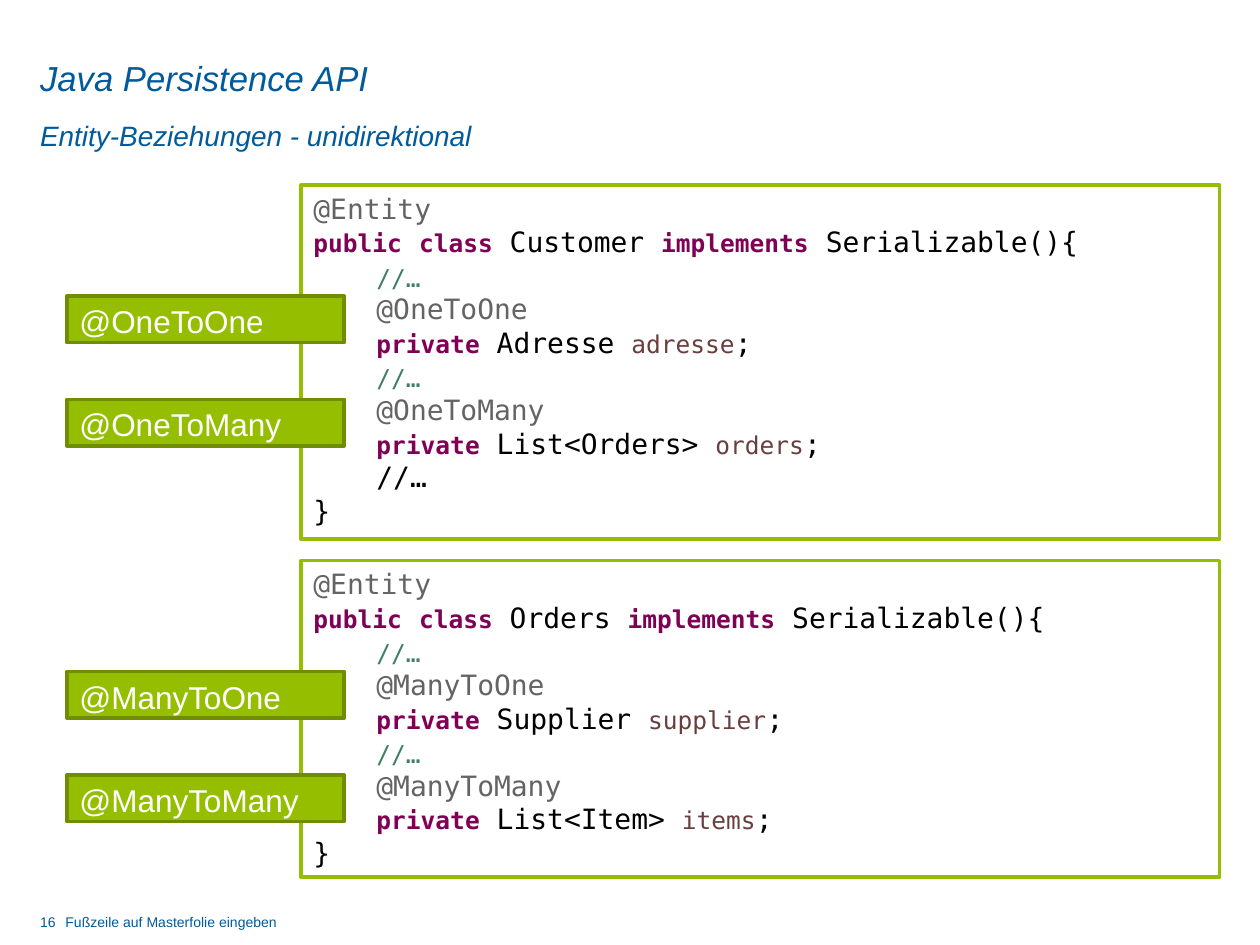
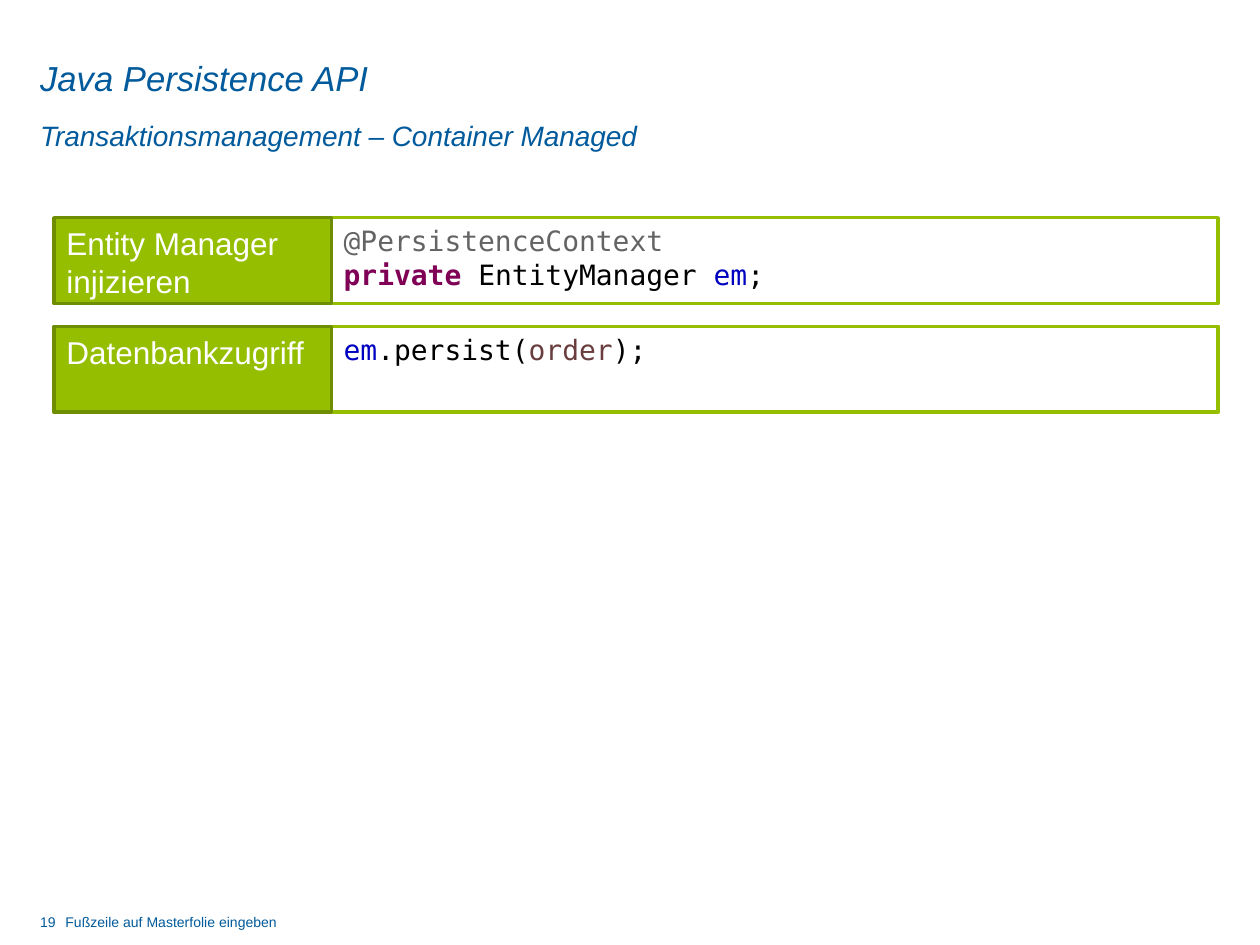
from collections import namedtuple
from dataclasses import dataclass

from pptx import Presentation
from pptx.dml.color import RGBColor as Rgb
from pptx.enum.shapes import MSO_SHAPE as Preset
from pptx.enum.text import MSO_ANCHOR as Anchor, PP_ALIGN as Align
from pptx.util import Cm, Pt

Box = namedtuple("Box", "left top width height")


def font_style(color, size, name="Arial", **extra):
    return {"name": name, "size": size, "color": color, "bold": False, "italic": False, **extra}


def code_style(color, size=16, **extra):
    return font_style(color, size, "DejaVu Sans Mono", **extra)


@dataclass(frozen=True)
class Theme:
    """Colours, type sizes and spacing shared by all slides."""
    white: str = "FFFFFF"
    blue: str = "005A9B"
    green: str = "96BE00"
    dark_green: str = "6F8D00"
    line_width: float = 2
    code_pitch: float = 19.2
    code_indent: float = 1.27

    @property
    def styles(self):
        return {
            "title": font_style(self.blue, 19.8, italic=True),
            "subtitle": font_style(self.blue, 16, italic=True),
            "footer": font_style(self.blue, 8),
            "label": font_style(self.white, 18),
            "plain": code_style("000000"),
            "annotation": code_style("646464"),
            "keyword": code_style("7F0055", 14, bold=True),
            "big_keyword": code_style("7F0055", bold=True),
            "comment": code_style("3F7F5F", 14),
            "variable": code_style("6A3E3E", 14),
            "big_variable": code_style("6A3E3E"),
            "field": code_style("0000C0"),
        }


THEME = Theme()
LABEL_WIDTH = 5.59


def set_values(target, values):
    for name, value in values.items():
        setattr(target, name, value)


def add_span(para, style, text):
    span = para.add_run()
    span.text = text
    values = dict(THEME.styles[style])
    span.font.color.rgb = Rgb.from_string(values.pop("color"))
    values["size"] = Pt(values["size"])
    set_values(span.font, values)


def add_text(page, box, style, text, anchor=Anchor.TOP, spacing=1.0):
    frame = page.shapes.add_textbox(*map(Cm, box)).text_frame
    set_values(frame, {"word_wrap": True, "vertical_anchor": anchor, "margin_left": 0,
                       "margin_top": 0, "margin_right": 0, "margin_bottom": 0})
    para = frame.paragraphs[0]
    para.line_spacing = spacing
    add_span(para, style, text)


def add_panel(page, box, fill, line):
    """Bordered rectangle with text from its top left corner."""
    panel = page.shapes.add_shape(Preset.RECTANGLE, *map(Cm, box))
    panel.shadow.inherit = False
    panel.fill.solid()
    panel.fill.fore_color.rgb = Rgb.from_string(fill)
    panel.line.color.rgb = Rgb.from_string(line)
    panel.line.width = Pt(THEME.line_width)
    set_values(panel.text_frame, {"word_wrap": True, "vertical_anchor": Anchor.TOP})
    return panel.text_frame


def add_label(page, box, text):
    para = add_panel(page, box, THEME.green, THEME.dark_green).paragraphs[0]
    para.alignment = Align.LEFT
    add_span(para, "label", text)


def add_code(page, box, lines):
    """Code panel; each line is (indent level, spans)."""
    frame = add_panel(page, box, THEME.white, THEME.green)
    for number, (level, spans) in enumerate(lines):
        para = frame.add_paragraph() if number else frame.paragraphs[0]
        set_values(para, {"alignment": Align.LEFT, "line_spacing": Pt(THEME.code_pitch)})
        if level:
            properties = para._p.get_or_add_pPr()
            properties.set("marL", str(Cm(level * THEME.code_indent)))
            properties.set("indent", "0")
        for style, text in spans:
            add_span(para, style, text)


def add_page(deck, subtitle, number):
    """Blank page with title, subtitle and footer."""
    page = deck.slides.add_slide(deck.slide_layouts[6])
    add_text(page, Box(1.32, 18.42, 9.25, 0.69), "footer", "Fußzeile auf Masterfolie eingeben")
    add_text(page, Box(0.81, 1.12, 20.32, 0.91), "title", "Java Persistence API", Anchor.MIDDLE)
    add_text(page, Box(0.81, 2.06, 20.32, 0.94), "subtitle", subtitle, spacing=1.5)
    add_text(page, Box(0.81, 18.42, 0.53, 0.58), "footer", str(number))
    return page


def entity_lines(name, relations, tail=()):
    """Source of an entity class with its annotated relations."""
    lines = [
        (0, [("annotation", "@Entity")]),
        (0, [("keyword", "public"), ("plain", " "), ("keyword", "class"),
             ("plain", f" {name} "), ("keyword", "implements"),
             ("plain", " Serializable(){")]),
    ]
    for annotation, kind, variable in relations:
        lines += [
            (1, [("comment", "//…")]),
            (1, [("annotation", annotation)]),
            (1, [("keyword", "private"), ("plain", f" {kind} "),
                 ("variable", variable), ("plain", ";")]),
        ]
    return [*lines, *tail, (0, [("plain", "}")])]


def add_entity(page, box, name, relations, tail=()):
    """Entity code with one label beside each relation."""
    add_code(page, box, entity_lines(name, relations, tail))
    for index, (annotation, *_) in enumerate(relations):
        label_box = Box(box.left - 4.72, box.top + 2.24 + index * 2.08, LABEL_WIDTH, 0.94)
        add_label(page, label_box, annotation)


def add_step(page, box, label, lines):
    """Row with a label on the left and code on the right."""
    add_code(page, box._replace(left=box.left + LABEL_WIDTH, width=box.width - LABEL_WIDTH), lines)
    add_label(page, box._replace(width=LABEL_WIDTH), label)


def build_relations(deck):
    page = add_page(deck, "Entity-Beziehungen - unidirektional", 16)
    add_entity(page, Box(6.07, 3.73, 18.52, 7.14), "Customer",
               [("@OneToOne", "Adresse", "adresse"),
                ("@OneToMany", "List<Orders>", "orders")],
               tail=[(1, [("plain", "//…")])])
    add_entity(page, Box(6.07, 11.3, 18.52, 6.38), "Orders",
               [("@ManyToOne", "Supplier", "supplier"),
                ("@ManyToMany", "List<Item>", "items")])


def build_transactions(deck):
    page = add_page(deck, "Transaktionsmanagement – Container Managed", 19)
    steps = [
        ("Entity Manager injizieren",
         [(0, [("annotation", "@PersistenceContext")]),
          (0, [("big_keyword", "private "), ("plain", "EntityManager "),
               ("field", "em"), ("plain", ";")])]),
        ("Datenbankzugriff",
         [(0, [("field", "em"), ("plain", ".persist("),
               ("big_variable", "order"), ("plain", ");")])]),
    ]
    for row, (label, lines) in enumerate(steps):
        add_step(page, Box(1.09, 4.39 + row * 2.19, 23.47, 1.73), label, lines)


def main():
    deck = Presentation()
    set_values(deck, {"slide_width": Cm(25.4), "slide_height": Cm(19.05)})
    build_relations(deck)
    build_transactions(deck)
    deck.save("out.pptx")


if __name__ == "__main__":
    main()
